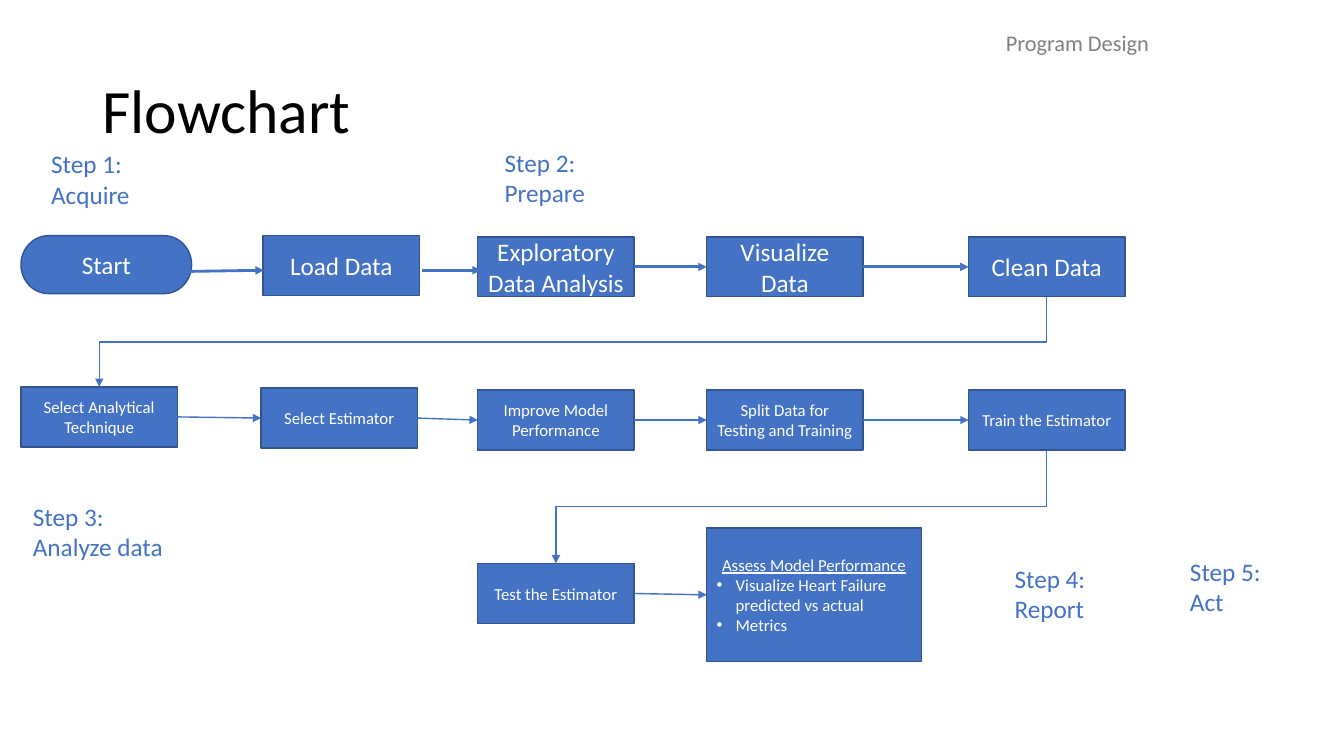
from lxml import etree
from pptx import Presentation
from pptx import util as u
from pptx.dml.color import RGBColor
from pptx.enum import shapes, text
from pptx.oxml.ns import qn

# Content (lengths in cm)
TITLE = "Flowchart"
SECTION = "Program Design"
COLORS = {"blue": "4472C4", "edge": "325491", "white": "FFFFFF",
          "black": "000000", "gray": "808080"}
FONT = "Calibri"
COLUMNS = [0.53, 6.58, 12.04, 17.81, 24.41]
BOX_W, BOX_H = 3.94, 1.51

# Name: (paragraphs, left, top, width, height, text size)
BOXES = {
    "start": (["Start"], COLUMNS[0], 5.94, 4.3, 1.46, 18),
    "load": (["Load Data"], 6.63, 5.94, BOX_W, BOX_H, 18),
    "explore": (["Exploratory Data Analysis"], COLUMNS[2], 5.97, BOX_W, BOX_H, 18),
    "visualize": (["Visualize", "Data"], COLUMNS[3], 5.97, BOX_W, BOX_H, 18),
    "clean": (["Clean Data"], COLUMNS[4], 5.97, BOX_W, BOX_H, 18),
    "technique": (["Select Analytical Technique"], COLUMNS[0], 9.75, BOX_W, BOX_H, 12),
    "estimator": (["Select Estimator"], COLUMNS[1], 9.78, BOX_W, BOX_H, 12),
    "improve": (["Improve Model Performance"], COLUMNS[2], 9.83, BOX_W, BOX_H, 12),
    "split": (["Split Data for Testing and Training"], COLUMNS[3], 9.83, BOX_W, BOX_H, 12),
    "train": (["Train the Estimator"], COLUMNS[4], 9.83, BOX_W, BOX_H, 12),
    "test": (["Test the Estimator"], COLUMNS[2], 14.2, BOX_W, BOX_H, 12),
    "assess": (["Assess Model Performance",
                "Visualize Heart Failure predicted vs actual", "Metrics"],
               COLUMNS[3], 13.31, 5.41, 3.36, 12),
}
STEPS = [
    (["Step 1:", "Acquire"], 1.04, 3.62, 4.24),
    (["Step 2:", "Prepare"], 12.47, 3.59, 3.05),
    (["Step 3:", "Analyze data"], 0.58, 12.5, 4.24),
    (["Step 4:", "Report"], 25.32, 14.07, 2.67),
    (["Step 5:", "Act"], 29.74, 13.9, 2.64),
]
FREE_ARROWS = [(4.7, 6.84, 6.65, 6.81), (10.64, 6.81, 12.12, 6.81)]
SIDE_ARROWS = [
    ("explore", "visualize", 2), ("visualize", "clean", 2),
    ("technique", "estimator", 1), ("estimator", "improve", 1),
    ("improve", "split", 1), ("split", "train", 1), ("test", "assess", 1),
]
RETURN_ARROWS = [("clean", "technique"), ("train", "test")]
TOP, LEFT, BOTTOM, RIGHT = range(4)


def color(name):
    return RGBColor.from_string(COLORS[name])


def write(frame, lines, size, shade, align=text.PP_ALIGN.LEFT):
    frame.word_wrap = True
    for i, line in enumerate(lines):
        paragraph = frame.paragraphs[0] if i == 0 else frame.add_paragraph()
        paragraph.alignment = align
        run = paragraph.add_run()
        run.text = line
        run.font.name = FONT
        run.font.size = u.Pt(size)
        run.font.color.rgb = color(shade)


def add_label(lines, left, top, width, height, size, shade):
    label = slide.shapes.add_textbox(*map(u.Cm, (left, top, width, height)))
    write(label.text_frame, lines, size, shade)
    label.text_frame.auto_size = text.MSO_AUTO_SIZE.SHAPE_TO_FIT_TEXT


def add_box(lines, left, top, width, height, size, kind):
    box = slide.shapes.add_shape(kind, *map(u.Cm, (left, top, width, height)))
    box.shadow.inherit = False
    box.fill.solid()
    box.fill.fore_color.rgb = color("blue")
    box.line.color.rgb = color("edge")
    box.line.width = u.Pt(1)
    box.text_frame.vertical_anchor = text.MSO_ANCHOR.MIDDLE
    write(box.text_frame, lines, size, "white", text.PP_ALIGN.CENTER)
    return box


def add_arrow(kind, points, weight):
    arrow = slide.shapes.add_connector(kind, *map(u.Cm, points))
    arrow.line.color.rgb = color("blue")
    arrow.line.width = u.Pt(weight)
    etree.SubElement(arrow.line._get_or_add_ln(), qn("a:tailEnd"), type="triangle")
    etree.SubElement(arrow._element.spPr, qn("a:effectLst"))
    return arrow


def glue(arrow, source, source_site, target, target_site):
    arrow.begin_connect(boxes[source], source_site)
    arrow.end_connect(boxes[target], target_site)


prs = Presentation()
prs.slide_width, prs.slide_height = u.Cm(33.87), u.Cm(19.05)
slide = prs.slides.add_slide(prs.slide_layouts[5])

# Title and section name
title = slide.shapes.title
title.left, title.top, title.width, title.height = map(u.Cm, (2.33, 1.01, 29.21, 3.68))
write(title.text_frame, [TITLE], 44, "black")
title.text_frame.vertical_anchor = text.MSO_ANCHOR.MIDDLE
title.text_frame.paragraphs[0].line_spacing = 0.9
add_label([SECTION], 25.1, 0.61, 7.62, 0.94, 16, "gray")

# Steps and boxes
for lines, left, top, width in STEPS:
    add_label(lines, left, top, width, 1.8, 18, "blue")

boxes = {}
for name, content in BOXES.items():
    kind = (shapes.MSO_SHAPE.FLOWCHART_TERMINATOR if name == "start"
            else shapes.MSO_SHAPE.FLOWCHART_PROCESS)
    boxes[name] = add_box(*content, kind)

# Heading and bullets of the assessment
heading, *bullets = boxes["assess"].text_frame.paragraphs
heading.runs[0].font.underline = True
for bullet in bullets:
    bullet.alignment = text.PP_ALIGN.LEFT
    props = bullet._p.get_or_add_pPr()
    props.set("marL", str(u.Cm(0.48)))
    props.set("indent", str(u.Cm(-0.48)))
    etree.SubElement(props, qn("a:buFont"), typeface="Arial")
    etree.SubElement(props, qn("a:buChar"), char="•")

# Arrows along the rows
for points in FREE_ARROWS:
    add_arrow(shapes.MSO_CONNECTOR.STRAIGHT, points, 2)
for source, target, weight in SIDE_ARROWS:
    arrow = add_arrow(shapes.MSO_CONNECTOR.STRAIGHT, (0, 0, 0, 0), weight)
    glue(arrow, source, RIGHT, target, LEFT)

# Arrows down to the next row: an elbow turned by 90 degrees about its centre
for source, target in RETURN_ARROWS:
    arrow = add_arrow(shapes.MSO_CONNECTOR.ELBOW, (0, 0, 0, 0), 1)
    glue(arrow, source, BOTTOM, target, TOP)
    across, down = arrow.width, arrow.height
    shift = (across - down) // 2
    arrow.left, arrow.top = arrow.left + shift, arrow.top - shift
    arrow.width, arrow.height = down, across
    frame = arrow._element.spPr.xfrm
    frame.flipH, frame.rot = False, 90

prs.save("out.pptx")
